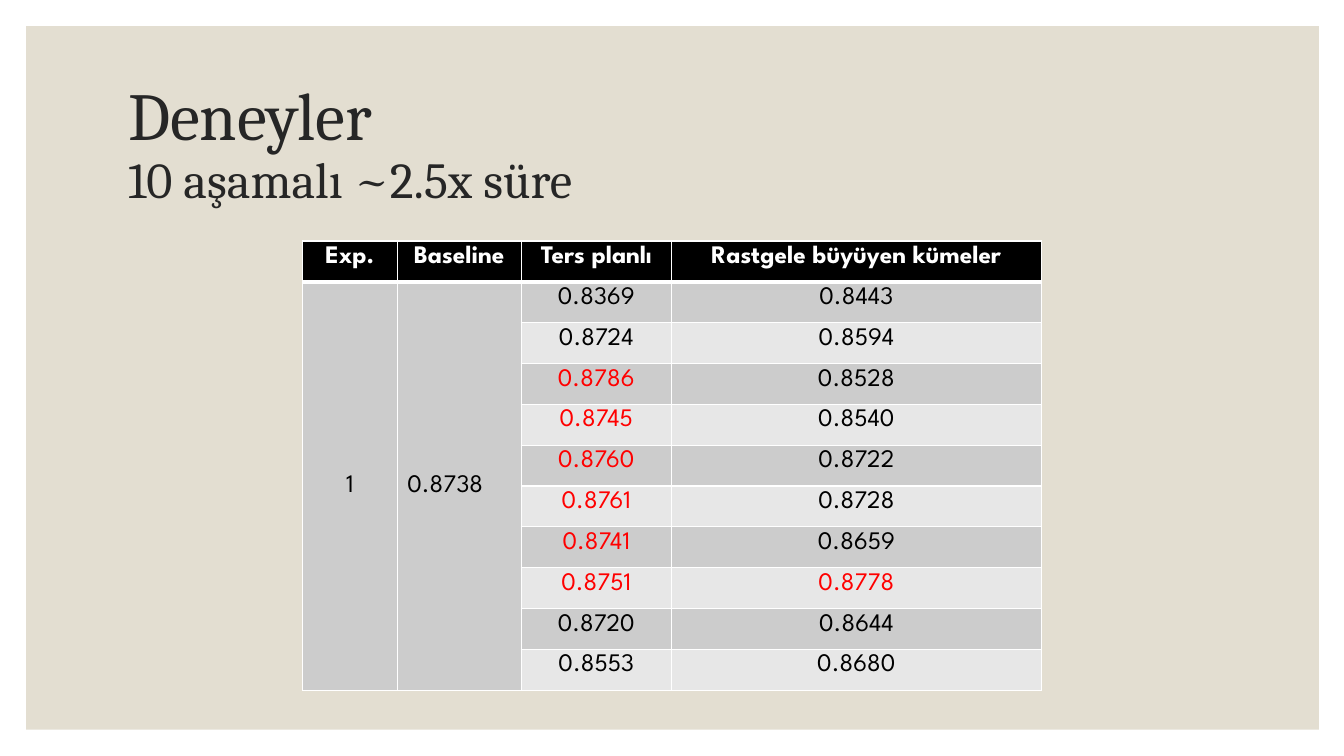
from dataclasses import dataclass

from lxml.etree import SubElement
from pptx import Presentation
from pptx.dml.color import RGBColor
from pptx.enum.shapes import MSO_SHAPE
from pptx.enum.text import MSO_ANCHOR as Anchor, PP_ALIGN as Align
from pptx.oxml.ns import qn
from pptx.slide import Slide
from pptx.table import _Cell as Cell
from pptx.text.text import _Paragraph as Paragraph
from pptx.util import Inches, Pt


@dataclass(frozen=True)
class Theme:
    """Colours, fonts and type sizes of the slide."""
    panel: str = "E3DED1"
    heading: str = "262626"
    header: str = "000000"
    header_text: str = "FFFFFF"
    value: str = "000000"
    improved: str = "FF0000"
    bands: tuple[str, str] = ("CCCCCC", "E7E7E7")
    border: str = "FFFFFF"
    heading_font: str = "Cambria"
    table_font: str = "League Spartan"
    heading_size: int = 48
    subheading_size: int = 36
    table_size: int = 18
    border_width: int = 1
    header_border_width: int = 3


@dataclass(frozen=True)
class Score:
    """Results of one stage for both strategies."""
    reverse_planned: float
    random_growing: float


THEME = Theme()
BASELINE = 0.8738
HEADERS = ("Exp.", "Baseline", "Ters planlı", "Rastgele büyüyen kümeler")
COLUMN_WIDTHS = (0.94, 1.23, 1.49, 3.67)
ROW_HEIGHT = Inches(4.46 / 11)
SCORES = (
    Score(0.8369, 0.8443),
    Score(0.8724, 0.8594),
    Score(0.8786, 0.8528),
    Score(0.8745, 0.8540),
    Score(0.8760, 0.8722),
    Score(0.8761, 0.8728),
    Score(0.8741, 0.8659),
    Score(0.8751, 0.8778),
    Score(0.8720, 0.8644),
    Score(0.8553, 0.8680),
)


def add_text(paragraph: Paragraph, text: str, font: str, size: int,
             color: str, bold: bool = False) -> None:
    """Append a formatted run to a paragraph."""
    run = paragraph.add_run()
    run.text = text
    for attribute, value in {"name": font, "size": Pt(size), "bold": bold}.items():
        setattr(run.font, attribute, value)
    run.font.color.rgb = RGBColor.from_string(color)


def add_panel(slide: Slide) -> None:
    """Draw the beige panel behind the content."""
    panel = slide.shapes.add_shape(MSO_SHAPE.RECTANGLE, Inches(0.26), Inches(0.26),
                                   Inches(12.82), Inches(6.98))
    panel.shadow.inherit = False
    panel.fill.solid()
    panel.fill.fore_color.rgb = RGBColor.from_string(THEME.panel)
    panel.line.fill.background()


def add_heading(slide: Slide) -> None:
    """Fill the title placeholder and bring it in front of the panel."""
    heading = slide.shapes.title
    placement = {"left": 1.17, "top": 0.7, "width": 11, "height": 1.5}
    for attribute, value in placement.items():
        setattr(heading, attribute, Inches(value))
    heading.text_frame.vertical_anchor = Anchor.MIDDLE
    lines = heading.text_frame.paragraphs[0]
    lines.alignment, lines.line_spacing = Align.LEFT, 0.9
    add_text(lines, "Deneyler", THEME.heading_font, THEME.heading_size, THEME.heading)
    lines.add_line_break()
    add_text(lines, "10 aşamalı ~2.5x süre", THEME.heading_font,
             THEME.subheading_size, THEME.heading)
    heading._element.getparent().append(heading._element)


def set_borders(cell: Cell, row: int) -> None:
    """Draw white cell borders, thicker between header and body."""
    properties = cell._tc.get_or_add_tcPr()
    thick_side = {0: "lnB", 1: "lnT"}.get(row)
    for position, side in enumerate(("lnL", "lnR", "lnT", "lnB")):
        width = THEME.header_border_width if side == thick_side else THEME.border_width
        line = SubElement(properties, qn(f"a:{side}"), w=str(Pt(width)))
        fill = SubElement(line, qn("a:solidFill"))
        SubElement(fill, qn("a:srgbClr"), val=THEME.border)
        properties.insert(position, line)


def fill_cell(cell: Cell, text: str, color: str, bold: bool = False,
              alignment: Align = Align.CENTER, anchor: Anchor = Anchor.TOP) -> None:
    """Write the text of one table cell."""
    cell.vertical_anchor = anchor
    content = cell.text_frame.paragraphs[0]
    content.alignment = alignment
    add_text(content, text, THEME.table_font, THEME.table_size, color, bold)


def add_results(slide: Slide) -> None:
    """Build the results table, marking scores above the baseline."""
    row_count = len(SCORES) + 1
    results = slide.shapes.add_table(row_count, len(HEADERS), Inches(3), Inches(2.39),
                                     Inches(sum(COLUMN_WIDTHS)),
                                     ROW_HEIGHT * row_count).table
    for column, width in zip(results.columns, COLUMN_WIDTHS):
        column.width = Inches(width)
    for row in range(row_count):
        results.rows[row].height = ROW_HEIGHT
        for column in range(len(HEADERS)):
            cell = results.cell(row, column)
            band = 0 if column < 2 else (row - 1) % 2
            cell.fill.solid()
            cell.fill.fore_color.rgb = RGBColor.from_string(
                THEME.bands[band] if row else THEME.header)
            set_borders(cell, row)

    for column, header in enumerate(HEADERS):
        fill_cell(results.cell(0, column), header, THEME.header_text, bold=True)
    summary = (("1", Align.CENTER), (f"{BASELINE:.4f}", Align.LEFT))
    for column, (text, alignment) in enumerate(summary):
        merged = results.cell(1, column)
        merged.merge(results.cell(row_count - 1, column))
        fill_cell(merged, text, THEME.value, alignment=alignment, anchor=Anchor.MIDDLE)
    for row, score in enumerate(SCORES, start=1):
        for column, value in enumerate((score.reverse_planned, score.random_growing), start=2):
            color = THEME.improved if value > BASELINE else THEME.value
            fill_cell(results.cell(row, column), f"{value:.4f}", color)


def main() -> None:
    """Build and save the presentation."""
    presentation = Presentation()
    presentation.slide_width, presentation.slide_height = Inches(13.33), Inches(7.5)
    slide = presentation.slides.add_slide(presentation.slide_layouts[5])
    add_panel(slide)
    add_heading(slide)
    add_results(slide)
    presentation.save("out.pptx")


main()
